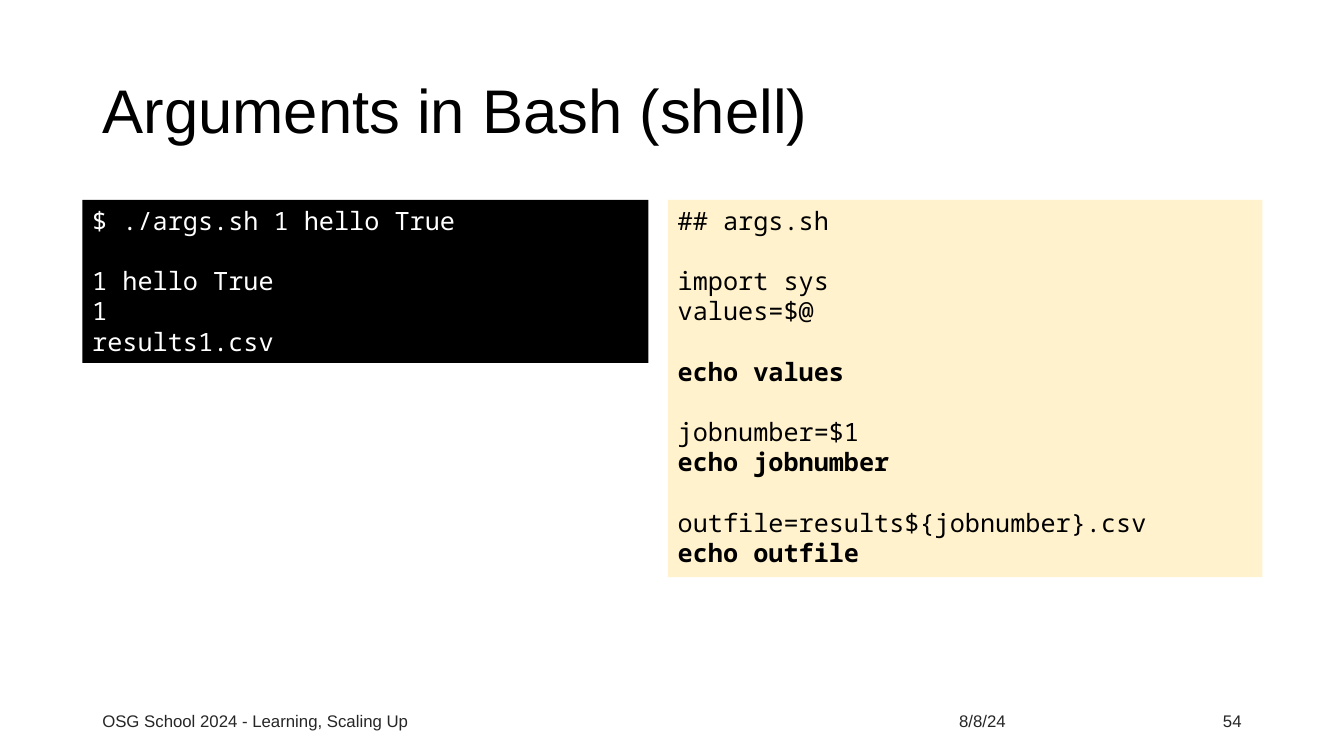
from dataclasses import dataclass

from lxml.etree import SubElement
from pptx import Presentation
from pptx.dml.color import RGBColor
from pptx.enum.shapes import MSO_SHAPE
from pptx.enum.text import MSO_ANCHOR as Anchor, MSO_AUTO_SIZE as AutoSize, PP_ALIGN as Align
from pptx.oxml.ns import qn
from pptx.util import Inches, Pt


@dataclass(frozen=True)
class Theme:
    sans: str = "Arial"
    mono: str = "Noto Sans Mono"
    black: str = "000000"
    white: str = "FFFFFF"
    cream: str = "FFF2CC"
    gray: str = "262626"
    title_size: int = 44
    code_size: int = 18
    footer_size: int = 12


def write(p, text, *, size, font, color, bold=False, align=Align.LEFT, spacing=None):
    p.alignment = align
    if spacing:
        p.line_spacing = spacing
    if not text:
        end = SubElement(p._p, qn("a:endParaRPr"), sz=str(size * 100))
        SubElement(end, qn("a:latin"), typeface=font)
        return
    r = p.add_run()
    r.text = text
    r.font.size = Pt(size)
    r.font.name = font
    r.font.bold = bold
    r.font.color.rgb = RGBColor.from_string(color)


class Deck:
    columns, rows = 160, 90

    def __init__(self, theme):
        self.theme = theme
        self.prs = Presentation()
        self.prs.slide_width = Inches(13.333)
        self.prs.slide_height = Inches(7.5)
        self.s = self.prs.slides.add_slide(self.prs.slide_layouts[5])

    def box(self, col, row, width, height):
        dx = self.prs.slide_width / self.columns
        dy = self.prs.slide_height / self.rows
        return [round(v) for v in (col * dx, row * dy, width * dx, height * dy)]

    def title(self, text, *cells):
        sp = self.s.shapes.title
        sp.left, sp.top, sp.width, sp.height = self.box(*cells)
        tf = sp.text_frame
        tf.word_wrap = True
        tf.vertical_anchor = Anchor.MIDDLE
        write(tf.paragraphs[0], text, size=self.theme.title_size, font=self.theme.sans,
              color=self.theme.black, spacing=0.9)

    def code(self, text, *cells, fill, color, bold_start=None):
        sp = self.s.shapes.add_shape(MSO_SHAPE.RECTANGLE, *self.box(*cells))
        sp.shadow.inherit = False
        sp.fill.solid()
        sp.fill.fore_color.rgb = RGBColor.from_string(fill)
        sp.line.fill.background()
        tf = sp.text_frame
        tf.word_wrap = True
        tf.auto_size = AutoSize.SHAPE_TO_FIT_TEXT
        tf.vertical_anchor = Anchor.TOP
        for i, line in enumerate(text.splitlines()):
            p = tf.add_paragraph() if i else tf.paragraphs[0]
            bold = bold_start is not None and line.startswith(bold_start)
            write(p, line, size=self.theme.code_size, font=self.theme.mono,
                  color=color, bold=bold)

    def footer(self, text, col, width, align=Align.LEFT):
        sp = self.s.shapes.add_textbox(*self.box(col, 83.4, width, 4.8))
        tf = sp.text_frame
        tf.word_wrap = True
        tf.vertical_anchor = Anchor.MIDDLE
        write(tf.paragraphs[0], text, size=self.theme.footer_size, font=self.theme.sans,
              color=self.theme.gray, align=align)


TERMINAL = """$ ./args.sh 1 hello True

1 hello True
1
results1.csv"""

SCRIPT = """## args.sh

import sys
values=$@

echo values

jobnumber=$1
echo jobnumber

outfile=results${jobnumber}.csv
echo outfile"""


def main():
    theme = Theme()
    deck = Deck(theme)
    deck.title("Arguments in Bash (shell)", 11, 4.8, 138, 17.4)
    deck.code(TERMINAL, 9.8, 23.8, 67.4, 19.4, fill=theme.black, color=theme.white)
    deck.code(SCRIPT, 79.5, 23.8, 70.8, 44.9, fill=theme.cream, color=theme.black,
              bold_start="echo")
    deck.footer("8/8/24", 113, 18)
    deck.footer("OSG School 2024 - Learning, Scaling Up", 11, 44.4)
    deck.footer("54", 131, 18, Align.RIGHT)
    deck.prs.save("out.pptx")


if __name__ == "__main__":
    main()
